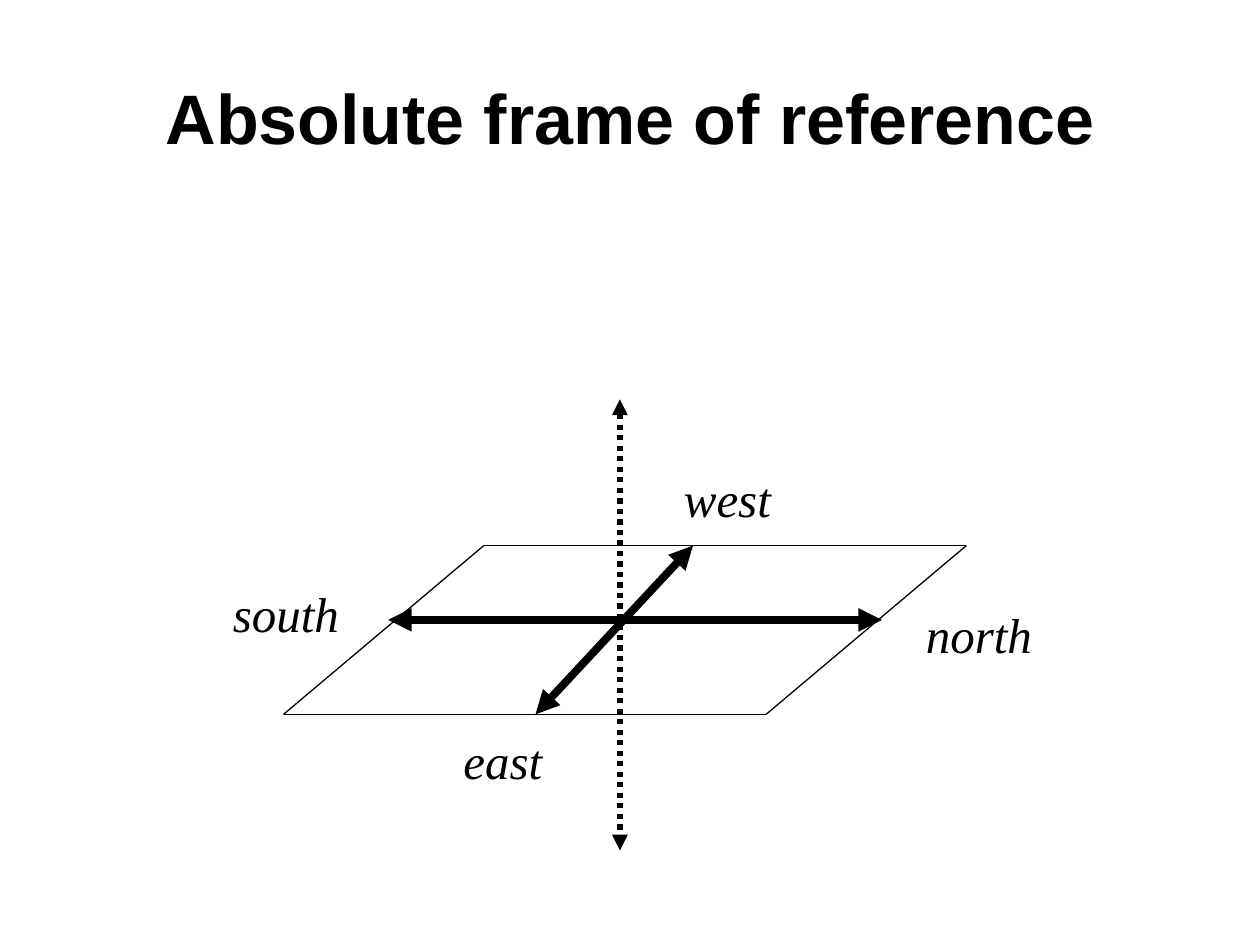
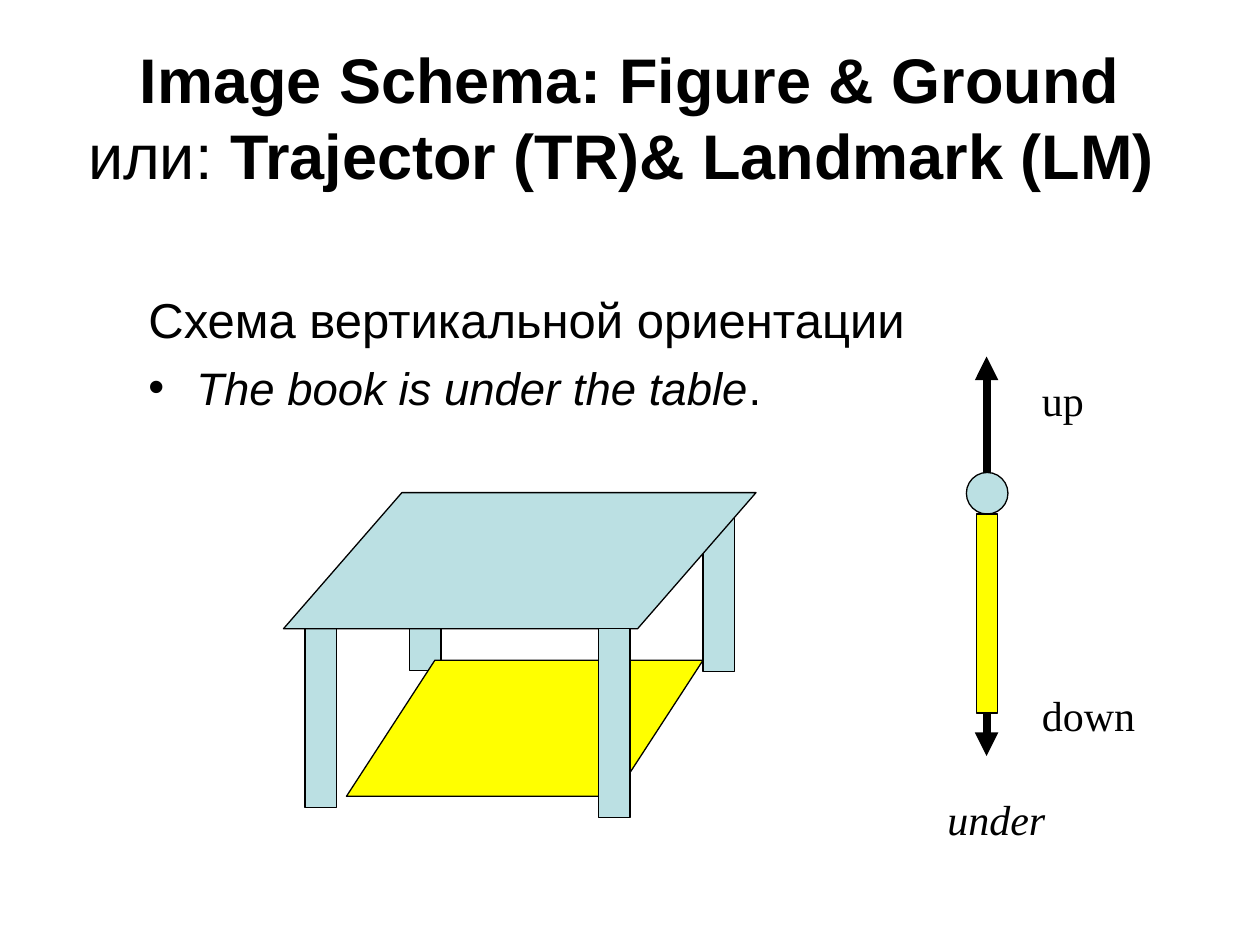
import pptx
import pptx.dml.color
import pptx.enum.dml
import pptx.enum.shapes
import pptx.enum.text
import pptx.oxml
import pptx.oxml.ns
import pptx.util
from pptx.util import Inches

HUES = {"ink": "000000", "wood": "BBE0E3", "book": "FFFF00"}
SANS, SERIF = "Arial", "Times New Roman"
KIND = pptx.enum.shapes.MSO_SHAPE


def hue(name):
    return pptx.dml.color.RGBColor.from_string(HUES[name])


def add_node(parent, tag, **attrs):
    node = pptx.oxml.parse_xml(f"<a:{tag} {pptx.oxml.ns.nsdecls('a')}/>")
    for key, value in attrs.items():
        node.set(key, value)
    parent.append(node)


def add_run(para, text, face, size, bold=False, slant=False):
    run = para.add_run()
    run.text = text
    font = run.font
    font.name, font.size = face, pptx.util.Pt(size)
    font.bold, font.italic = bold, slant
    font.color.rgb = hue("ink")


def add_box(slide, left, top, width, height):
    box = slide.shapes.add_textbox(Inches(left), Inches(top), Inches(width), Inches(height))
    box.text_frame.word_wrap = True
    return box.text_frame


def add_title(slide, lines, size, left=0.5):
    frame = add_box(slide, left, 0.3, 10 - 2 * left, 1.25)
    frame.vertical_anchor = pptx.enum.text.MSO_ANCHOR.MIDDLE
    para = frame.paragraphs[0]
    para.alignment = pptx.enum.text.PP_ALIGN.CENTER
    for index, line in enumerate(lines):
        if index:
            para.add_line_break()
        for text, bold in line:
            add_run(para, text, SANS, size, bold)


def add_label(slide, text, left, top, width, size, slant=True):
    frame = add_box(slide, left, top, width, 0.57 if size == 28 else 0.5)
    frame.auto_size = pptx.enum.text.MSO_AUTO_SIZE.SHAPE_TO_FIT_TEXT
    add_run(frame.paragraphs[0], text, SERIF, size, slant=slant)


def add_line(shapes, start, end, weight=0.75):
    line = shapes.add_connector(pptx.enum.shapes.MSO_CONNECTOR.STRAIGHT,
                                *map(Inches, start + end))
    line.line.color.rgb = hue("ink")
    line.line.width = pptx.util.Pt(weight)
    add_node(line.element.spPr, "effectLst")
    return line


def add_arrow(slide, start, end, weight=4.5, dash=None):
    arrow = add_line(slide.shapes, start, end, weight)
    if dash:
        arrow.line.dash_style = dash
    stroke = arrow.element.spPr.find(pptx.oxml.ns.qn("a:ln"))
    for tag in ("headEnd", "tailEnd"):
        add_node(stroke, tag, type="triangle")


def add_solid(shapes, kind, left, top, width, height, fill, skew=None):
    solid = shapes.add_shape(kind, *map(Inches, (left, top, width, height)))
    solid.shadow.inherit = False
    solid.fill.solid()
    solid.fill.fore_color.rgb = hue(fill)
    solid.line.color.rgb = hue("ink")
    solid.line.width = pptx.util.Pt(0.75)
    if skew:
        solid.adjustments[0] = skew


def add_body(slide):
    frame = add_box(slide, 1.08, 2.25, 8.5, 4.5)
    head, item = frame.paragraphs[0], frame.add_paragraph()
    add_run(head, "Cхема вертикальной ориентации", SANS, 28)
    item.space_before = pptx.util.Pt(6.5)
    props = item._p.get_or_add_pPr()
    props.set("marL", str(Inches(0.38)))
    props.set("indent", str(-Inches(0.38)))
    add_node(props, "buFont", typeface=SANS)
    add_node(props, "buChar", char="•")
    add_run(item, "The book is under the table", SANS, 26, slant=True)
    add_run(item, ".", SANS, 26)


def draw_frame(slide):
    add_title(slide, [[("Absolute frame of reference", True)]], 40)
    add_arrow(slide, (7, 4.92), (3.08, 4.92))
    add_arrow(slide, (5.5, 4.33), (4.25, 5.67))
    plane = slide.shapes.add_group_shape().shapes
    corners = [(3.84, 4.33), (2.25, 5.67), (6.08, 5.67), (7.67, 4.33)]
    for start, end in zip(corners, corners[1:] + corners[:1]):
        add_line(plane, start, end)
    add_arrow(slide, (4.92, 3.17), (4.92, 6.75), 3, pptx.enum.dml.MSO_LINE.ROUND_DOT)
    for text, left, top, width in [("north", 7.25, 4.75, 1.25), ("west", 5.33, 3.67, 1),
                                   ("south", 1.75, 4.58, 1.25), ("east", 3.58, 5.75, 1)]:
        add_label(slide, text, left, top, width, 28)


def draw_table(slide):
    parts = slide.shapes.add_group_shape().shapes

    def add_leg(left, top, height):
        add_solid(parts, KIND.RECTANGLE, left, top, 0.25, height, "wood")

    for leg in [(2.42, 4.99, 1.42), (3.25, 4.99, 0.33), (5.58, 3.91, 1.42)]:
        add_leg(*leg)
    add_solid(parts, KIND.PARALLELOGRAM, 2.25, 3.91, 3.75, 1.08, "wood", 0.87)
    add_solid(parts, KIND.PARALLELOGRAM, 2.75, 5.24, 2.83, 1.08, "book", 0.65)
    add_leg(4.75, 4.99, 1.5)


def draw_schema(slide):
    add_title(slide, [[("Image Schema: Figure & Ground", True)],
                      [("или: ", False), ("Trajector (TR)& Landmark (LM) ", True)]], 36, 0)
    add_body(slide)
    draw_table(slide)
    add_arrow(slide, (7.83, 2.83), (7.83, 6))
    add_label(slide, "up", 8.17, 2.92, 0.92, 24, False)
    add_label(slide, "down", 8.17, 5.42, 1.17, 24, False)
    add_solid(slide.shapes, KIND.OVAL, 7.67, 3.75, 0.33, 0.33, "wood")
    add_solid(slide.shapes, KIND.RECTANGLE, 7.75, 4.08, 0.17, 1.58, "book")
    add_label(slide, "under", 7.42, 6.25, 1.67, 24)


def main():
    deck = pptx.Presentation()
    deck.slide_width, deck.slide_height = Inches(10), Inches(7.5)
    for draw in (draw_frame, draw_schema):
        draw(deck.slides.add_slide(deck.slide_layouts[6]))
    deck.save("out.pptx")


if __name__ == "__main__":
    main()
